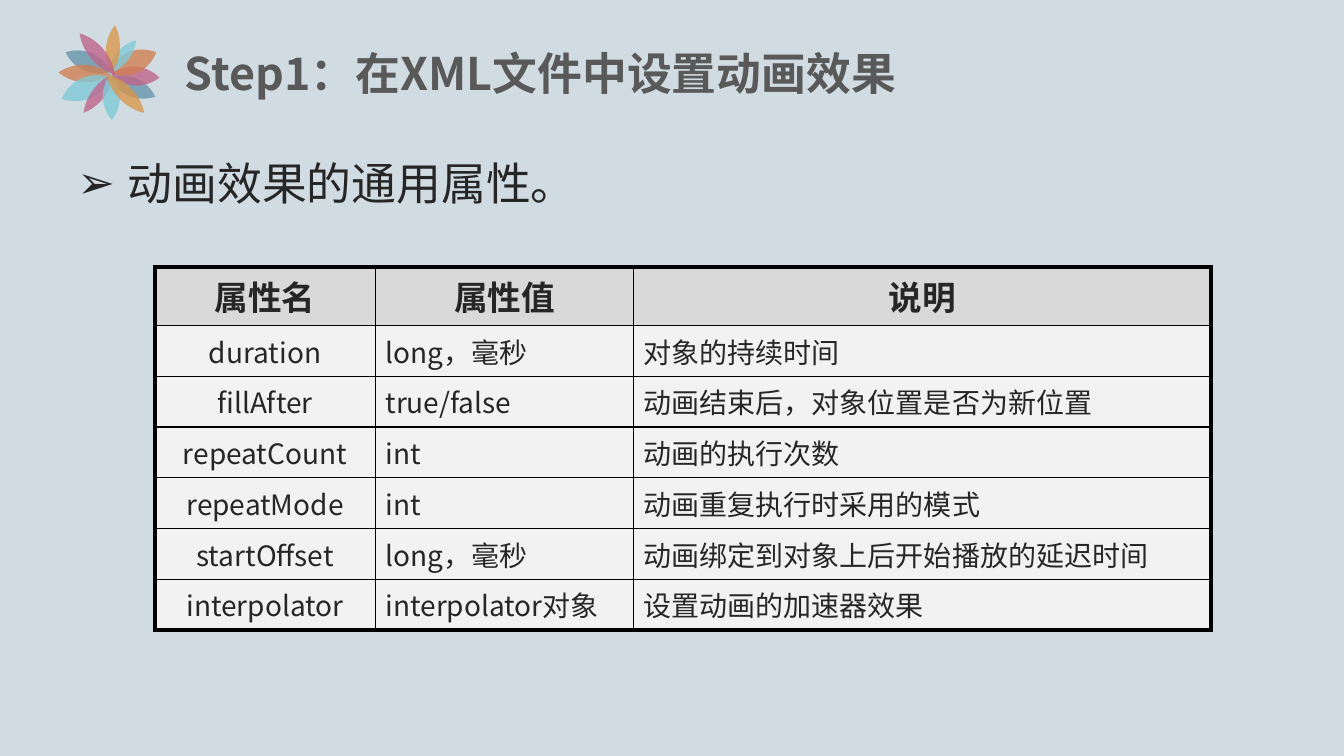
from dataclasses import dataclass

from lxml.etree import SubElement
from pptx import Presentation
from pptx.dml.color import RGBColor
from pptx.dml.fill import FillFormat
from pptx.enum.text import MSO_ANCHOR, MSO_AUTO_SIZE, PP_ALIGN
from pptx.oxml.ns import qn
from pptx.shapes.group import GroupShape
from pptx.shapes.placeholder import SlidePlaceholder
from pptx.slide import Slide
from pptx.table import Table, _Cell
from pptx.text.text import _Paragraph
from pptx.util import Pt

FONT = "Noto Sans CJK SC"
INK = "262626"
THICK, THIN = 3, 1

# Half a petal: share of its length, share of its half width
HALF = [(0, 0), (0.13, 0.6), (0.31, 1), (0.5, 1), (0.69, 1), (0.87, 0.6), (1, 0)]
OUTLINE = HALF + [(along, -side) for along, side in HALF[-2::-1]]


@dataclass
class Petal:
    base: tuple[float, float]
    tip: tuple[float, float]
    width: float
    color: str
    alpha: int = 78


@dataclass
class Row:
    name: str
    value: str
    note: str


BLUE, RUST, PINK, TEAL, GOLD = "6694AB", "D27E50", "BF638A", "80CAD7", "DB9649"

PETALS = [
    Petal((79.2, 51.1), (46.8, 37.4), 13.5, BLUE),
    Petal((78.5, 55.4), (110.9, 69.1), 13.5, BLUE),
    Petal((79.2, 53.3), (41.8, 51.8), 12.5, RUST),
    Petal((79.2, 53.3), (113.8, 55.4), 13.5, PINK),
    Petal((79.2, 55.4), (43.9, 70.6), 15.5, TEAL),
    Petal((78.5, 51.8), (111.6, 37.4), 16, RUST),
    Petal((81.4, 52.6), (59.8, 80.6), 9.5, PINK),
    Petal((77, 52.6), (97.2, 28.8), 9.5, TEAL, 81),
    Petal((79.2, 52.6), (82.1, 18), 10, GOLD),
    Petal((79.2, 52.6), (79.9, 85.7), 12.2, TEAL, 81),
    Petal((82.1, 53.3), (56.9, 23.8), 11, PINK),
    Petal((76.3, 53.3), (103, 80.6), 11, GOLD),
]

ROWS = [
    Row("属性名", "属性值", "说明"),
    Row("duration", "long，毫秒", "对象的持续时间"),
    Row("fillAfter", "true/false", "动画结束后，对象位置是否为新位置"),
    Row("repeatCount", "int", "动画的执行次数"),
    Row("repeatMode", "int", "动画重复执行时采用的模式"),
    Row("startOffset", "long，毫秒", "动画绑定到对象上后开始播放的延迟时间"),
    Row("interpolator", "interpolator对象", "设置动画的加速器效果"),
]
WIDTHS = [157.7, 184.3, 412.6]
HEAD, LINE = 35, 31.2


def paint(fill: FillFormat, color: str) -> None:
    fill.solid()
    fill.fore_color.rgb = RGBColor.from_string(color)


def style(para: _Paragraph, size: float, color: str, bold: bool = False) -> None:
    font = para.font
    font.size, font.bold, font.name = Pt(size), bold, FONT
    paint(font.fill, color)
    # East Asian text needs its own typeface
    props = para._p.pPr.find(qn("a:defRPr"))
    SubElement(props, qn("a:ea")).set("typeface", FONT)


def hang(para: _Paragraph, size: float) -> None:
    props = para._p.get_or_add_pPr()
    props.set("marL", str(Pt(size)))
    props.set("indent", str(-Pt(size)))


def place(holder: SlidePlaceholder, left: float, top: float, width: float,
          height: float, text: str, anchor: MSO_ANCHOR) -> _Paragraph:
    holder.left, holder.top = Pt(left), Pt(top)
    holder.width, holder.height = Pt(width), Pt(height)
    frame = holder.text_frame
    frame.text, frame.word_wrap = text, True
    frame.auto_size, frame.vertical_anchor = MSO_AUTO_SIZE.NONE, anchor
    para = frame.paragraphs[0]
    para.alignment, para.space_before = PP_ALIGN.LEFT, Pt(0)
    return para


def draw_petal(flower: GroupShape, petal: Petal) -> None:
    (x, y), (tip_x, tip_y) = petal.base, petal.tip
    dx, dy = tip_x - x, tip_y - y
    scale = petal.width / 2 / (dx * dx + dy * dy) ** 0.5
    points = [(Pt(x + dx * along - dy * side * scale),
               Pt(y + dy * along + dx * side * scale))
              for along, side in OUTLINE]
    pen = flower.shapes.build_freeform(*points[0])
    pen.add_line_segments(points[1:], close=True)
    shape = pen.convert_to_shape()
    shape.shadow.inherit = False
    shape.line.fill.background()
    paint(shape.fill, petal.color)
    tint = shape._element.spPr.find(qn("a:solidFill"))[0]
    SubElement(tint, qn("a:alpha")).set("val", str(petal.alpha * 1000))
    # Every three line points become one curve
    lines = list(shape._element.iter(qn("a:lnTo")))
    track = lines[0].getparent()
    for start in range(0, len(lines), 3):
        curve = SubElement(track, qn("a:cubicBezTo"))
        lines[start].addprevious(curve)
        for line in lines[start:start + 3]:
            curve.append(line[0])
            track.remove(line)


def draw_flower(slide: Slide) -> None:
    flower = slide.shapes.add_group_shape()
    for petal in PETALS:
        draw_petal(flower, petal)
    # Send behind the placeholders
    slide.shapes._spTree.insert(2, flower._element)


def edge(cell: _Cell, side: str, width: float) -> None:
    line = SubElement(cell._tc.get_or_add_tcPr(), qn(f"a:ln{side}"))
    line.set("w", str(Pt(width)))
    fill = SubElement(line, qn("a:solidFill"))
    SubElement(fill, qn("a:srgbClr")).set("val", "000000")


def fill_cell(table: Table, row: int, col: int, text: str) -> None:
    cell, head = table.cell(row, col), row == 0
    outer = {"L": col == 0, "R": col == len(WIDTHS) - 1,
             "T": head, "B": row == len(ROWS) - 1}
    for side, thick in outer.items():
        edge(cell, side, THICK if thick else THIN)
    paint(cell.fill, "D9D9D9" if head else "F2F2F2")
    cell.vertical_anchor = MSO_ANCHOR.TOP if head else MSO_ANCHOR.MIDDLE
    cell.text = text
    para = cell.text_frame.paragraphs[0]
    para.alignment = PP_ALIGN.CENTER if head or col == 0 else PP_ALIGN.LEFT
    style(para, 24 if head else 20, INK, head)


def draw_table(slide: Slide) -> None:
    height = HEAD + LINE * (len(ROWS) - 1)
    table = slide.shapes.add_table(len(ROWS), len(WIDTHS), Pt(110.5), Pt(190.5),
                                   Pt(sum(WIDTHS)), Pt(height)).table
    table.horz_banding = False
    for col, width in enumerate(WIDTHS):
        table.columns[col].width = Pt(width)
    for row, item in enumerate(ROWS):
        table.rows[row].height = Pt(LINE if row else HEAD)
        for col, text in enumerate((item.name, item.value, item.note)):
            fill_cell(table, row, col, text)


def main() -> None:
    deck = Presentation()
    deck.slide_width, deck.slide_height = Pt(960), Pt(540)
    slide = deck.slides.add_slide(deck.slide_layouts[1])
    paint(slide.background.fill, "D1DCE2")

    # Flower beside the title
    draw_flower(slide)

    # Title
    title = place(slide.shapes.title, 124.6, 20.2, 640, 62.6,
                  "Step1：在XML文件中设置动画效果", MSO_ANCHOR.MIDDLE)
    hang(title, 96)
    style(title, 32, "595959", True)

    # Bullet list
    body = place(slide.placeholders[1], 48, 88.6, 864, 393,
                 "动画效果的通用属性。", MSO_ANCHOR.TOP)
    hang(body, 36)
    body.line_spacing, body.space_after = 1.5, Pt(6)
    SubElement(body._p.pPr, qn("a:buChar")).set("char", "➢")
    style(body, 32, INK)

    # Attribute table
    draw_table(slide)
    deck.save("out.pptx")


if __name__ == "__main__":
    main()
